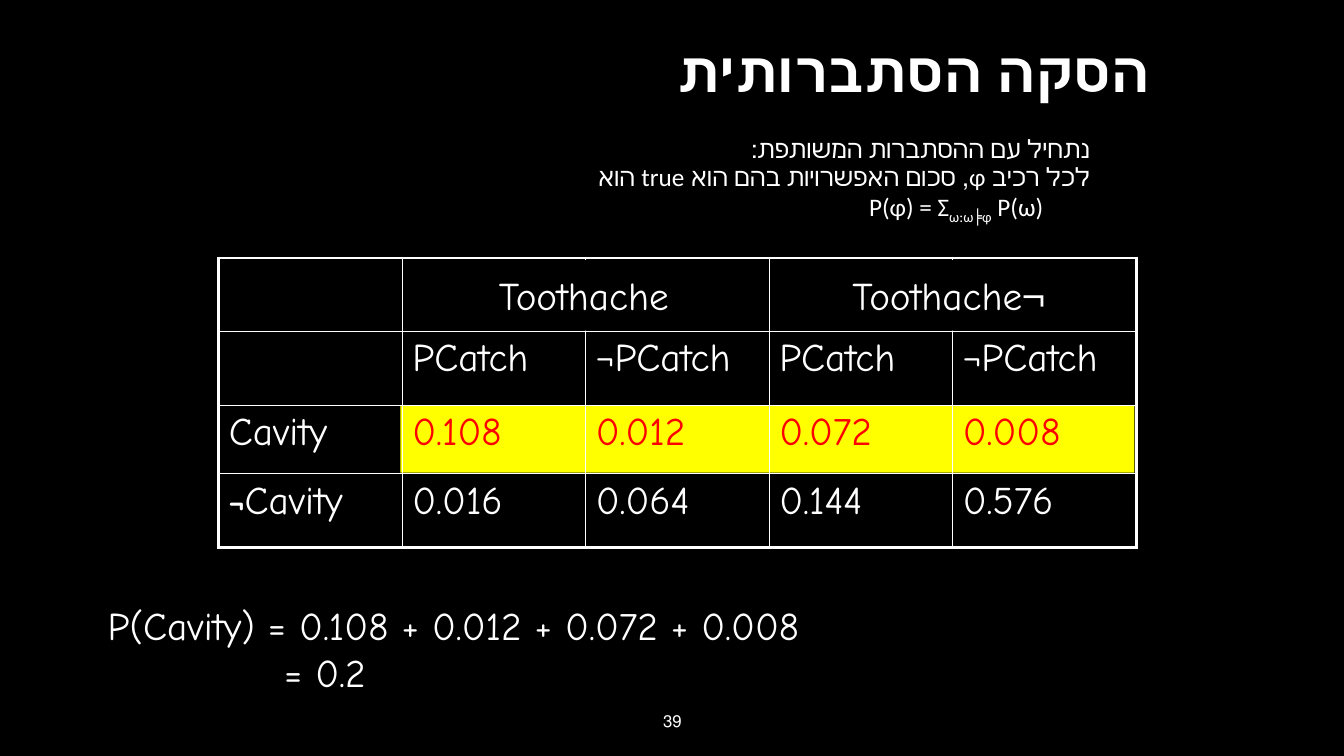
from dataclasses import dataclass

import pptx
import pptx.dml.color
import pptx.enum.shapes
import pptx.enum.text
import pptx.oxml
import pptx.oxml.ns
import pptx.util
from pptx.util import Inches

RGBColor = pptx.dml.color.RGBColor
Align = pptx.enum.text.PP_ALIGN
Anchor = pptx.enum.text.MSO_ANCHOR
AutoSize = pptx.enum.text.MSO_AUTO_SIZE

BLACK = RGBColor(0x00, 0x00, 0x00)
WHITE = RGBColor(0xFF, 0xFF, 0xFF)
RED = RGBColor(0xFF, 0x00, 0x00)
YELLOW = RGBColor(0xFF, 0xFF, 0x00)
COMIC = "Comic Neue"
CALIBRI = "Calibri"


@dataclass(frozen=True)
class Run:
    text: str
    size: float = 28
    font: str = COMIC
    color: RGBColor = WHITE
    bold: bool = False
    baseline: int = 0


@dataclass(frozen=True)
class Box:
    left: float
    top: float
    width: float
    height: float

    def lengths(self):
        return [Inches(n) for n in (self.left, self.top, self.width, self.height)]


@dataclass(frozen=True)
class HeaderLabel:
    text: str
    box: Box


TITLE_BOX = Box(2, 0.33, 9.5, 0.82)
INTRO_BOX = Box(4.09, 1.31, 6.82, 0.92)
HIGHLIGHT_BOX = Box(3.97, 4.03, 7.28, 0.66)
TABLE_BOX = Box(2.17, 2.56, 9.1, 2.87)
RESULT_BOX = Box(0.97, 5.92, 8.85, 1.03)
NUMBER_BOX = Box(4.42, 6.95, 4.5, 0.4)

HEADERS = [
    HeaderLabel("Toothache", Box(4.08, 2.58, 3.42, 0.7)),
    HeaderLabel("¬Toothache", Box(7.69, 2.58, 3.44, 0.7)),
]
INTRO = [
    [Run("נתחיל עם ההסתברות המשותפת:", 18, CALIBRI)],
    [Run("לכל רכיב φ, סכום האפשרויות בהם הוא true הוא", 18, CALIBRI)],
    [
        Run(" P(φ) = Σ", 18, CALIBRI),
        Run("ω:ω╞φ", 18, CALIBRI, baseline=-25000),
        Run(" P(ω) ", 18, CALIBRI),
    ],
]
ROW_HEIGHTS = [0.73, 0.73, 0.68, 0.73]
COLUMN_WIDTH = 1.82
CELLS = [
    [[] for _ in range(5)],
    [[]] + [[Run(text)] for text in ("PCatch", "¬PCatch") * 2],
    [[Run("Cavity")]]
    + [[Run(text, color=RED)] for text in ("0.108", "0.012", "0.072", "0.008")],
    [[Run("¬", 24, bold=True), Run("Cavity")]]
    + [[Run(text)] for text in ("0.016", "0.064", "0.144", "0.576")],
]


def add_runs(paragraph, runs: list[Run]) -> None:
    for item in runs:
        run = paragraph.add_run()
        run.text = item.text
        run.font.size = pptx.util.Pt(item.size)
        run.font.name = item.font
        run.font.bold = item.bold
        run.font.color.rgb = item.color
        if item.baseline:
            run.font._element.set("baseline", str(item.baseline))


def set_right_to_left(paragraph, alignment) -> None:
    paragraph.alignment = alignment
    paragraph._p.get_or_add_pPr().set("rtl", "1")


def place(shape, box: Box) -> None:
    shape.left, shape.top, shape.width, shape.height = box.lengths()


def add_rectangle(slide, box: Box, color: RGBColor):
    shape = slide.shapes.add_shape(
        pptx.enum.shapes.MSO_SHAPE.RECTANGLE, *box.lengths()
    )
    shape.shadow.inherit = False
    shape.fill.solid()
    shape.fill.fore_color.rgb = color
    shape.line.fill.background()
    return shape


def set_borders(cell, widths: dict[str, float]) -> None:
    properties = cell._tc.get_or_add_tcPr()
    for side, width in widths.items():
        properties.append(pptx.oxml.parse_xml(
            f'<a:ln{side} {pptx.oxml.ns.nsdecls("a")} w="{pptx.util.Pt(width)}">'
            f'<a:solidFill><a:srgbClr val="{WHITE}"/></a:solidFill></a:ln{side}>'
        ))


def add_probability_table(slide) -> None:
    last_row, last_column = len(CELLS) - 1, len(CELLS[0]) - 1
    table = slide.shapes.add_table(
        last_row + 1, last_column + 1, *TABLE_BOX.lengths()
    ).table
    table.first_row = table.horz_banding = False
    for column in table.columns:
        column.width = Inches(COLUMN_WIDTH)
    for row_index, (height, row) in enumerate(zip(ROW_HEIGHTS, CELLS)):
        table.rows[row_index].height = Inches(height)
        for column_index, runs in enumerate(row):
            cell = table.cell(row_index, column_index)
            outer_sides = {
                "L": column_index == 0,
                "R": column_index == last_column,
                "T": row_index == 0,
                "B": row_index == last_row,
            }
            set_borders(cell, {s: 2.25 if o else 1 for s, o in outer_sides.items()})
            cell.fill.background()
            add_runs(cell.text_frame.paragraphs[0], runs)


def fill_intro(body) -> None:
    place(body, INTRO_BOX)
    frame = body.text_frame
    frame.word_wrap = True
    frame.auto_size = AutoSize.SHAPE_TO_FIT_TEXT
    for index, runs in enumerate(INTRO):
        paragraph = frame.paragraphs[0] if index == 0 else frame.add_paragraph()
        set_right_to_left(paragraph, Align.RIGHT)
        is_formula = index == len(INTRO) - 1
        paragraph.level = int(is_formula)
        paragraph.line_spacing = 0.9
        paragraph.space_before = pptx.util.Pt(0)
        properties = paragraph._p.get_or_add_pPr()
        properties.set("marL", str(Inches(0.4) if is_formula else 0))
        properties.set("indent", "0")
        properties.append(pptx.oxml.parse_xml(
            f'<a:buNone {pptx.oxml.ns.nsdecls("a")}/>'
        ))
        add_runs(paragraph, runs)


def main() -> None:
    presentation = pptx.Presentation()
    presentation.slide_width = Inches(13.33)
    presentation.slide_height = Inches(7.5)
    slide = presentation.slides.add_slide(presentation.slide_layouts[1])
    slide.background.fill.solid()
    slide.background.fill.fore_color.rgb = BLACK

    # Title and introduction
    title = slide.shapes.title
    place(title, TITLE_BOX)
    title.text_frame.vertical_anchor = Anchor.MIDDLE
    paragraph = title.text_frame.paragraphs[0]
    set_right_to_left(paragraph, Align.RIGHT)
    paragraph.line_spacing = 0.9
    add_runs(paragraph, [Run("הסקה הסתברותית", 40, bold=True)])
    fill_intro(slide.placeholders[1])

    # Joint distribution with the Cavity row highlighted
    add_rectangle(slide, HIGHLIGHT_BOX, YELLOW)
    add_probability_table(slide)
    for header in HEADERS:
        label = add_rectangle(slide, header.box, BLACK)
        label.text_frame.word_wrap = False
        label.text_frame.vertical_anchor = Anchor.MIDDLE
        paragraph = label.text_frame.paragraphs[0]
        set_right_to_left(paragraph, Align.CENTER)
        add_runs(paragraph, [Run(header.text)])

    # Marginal probability
    frame = slide.shapes.add_textbox(*RESULT_BOX.lengths()).text_frame
    frame.word_wrap = True
    frame.auto_size = AutoSize.SHAPE_TO_FIT_TEXT
    add_runs(frame.paragraphs[0], [Run("P(Cavity) = 0.108 + 0.012 + 0.072 + 0.008")])
    paragraph = frame.add_paragraph()
    paragraph._p.get_or_add_pPr().append(pptx.oxml.parse_xml(
        f'<a:tabLst {pptx.oxml.ns.nsdecls("a")}>'
        f'<a:tab pos="{Inches(1.75)}" algn="l"/></a:tabLst>'
    ))
    add_runs(paragraph, [Run("\t= 0.2")])

    # Slide number
    frame = slide.shapes.add_textbox(*NUMBER_BOX.lengths()).text_frame
    frame.word_wrap = True
    frame.vertical_anchor = Anchor.MIDDLE
    set_right_to_left(frame.paragraphs[0], Align.CENTER)
    add_runs(frame.paragraphs[0], [Run("39", 12, CALIBRI)])

    presentation.save("out.pptx")


if __name__ == "__main__":
    main()
